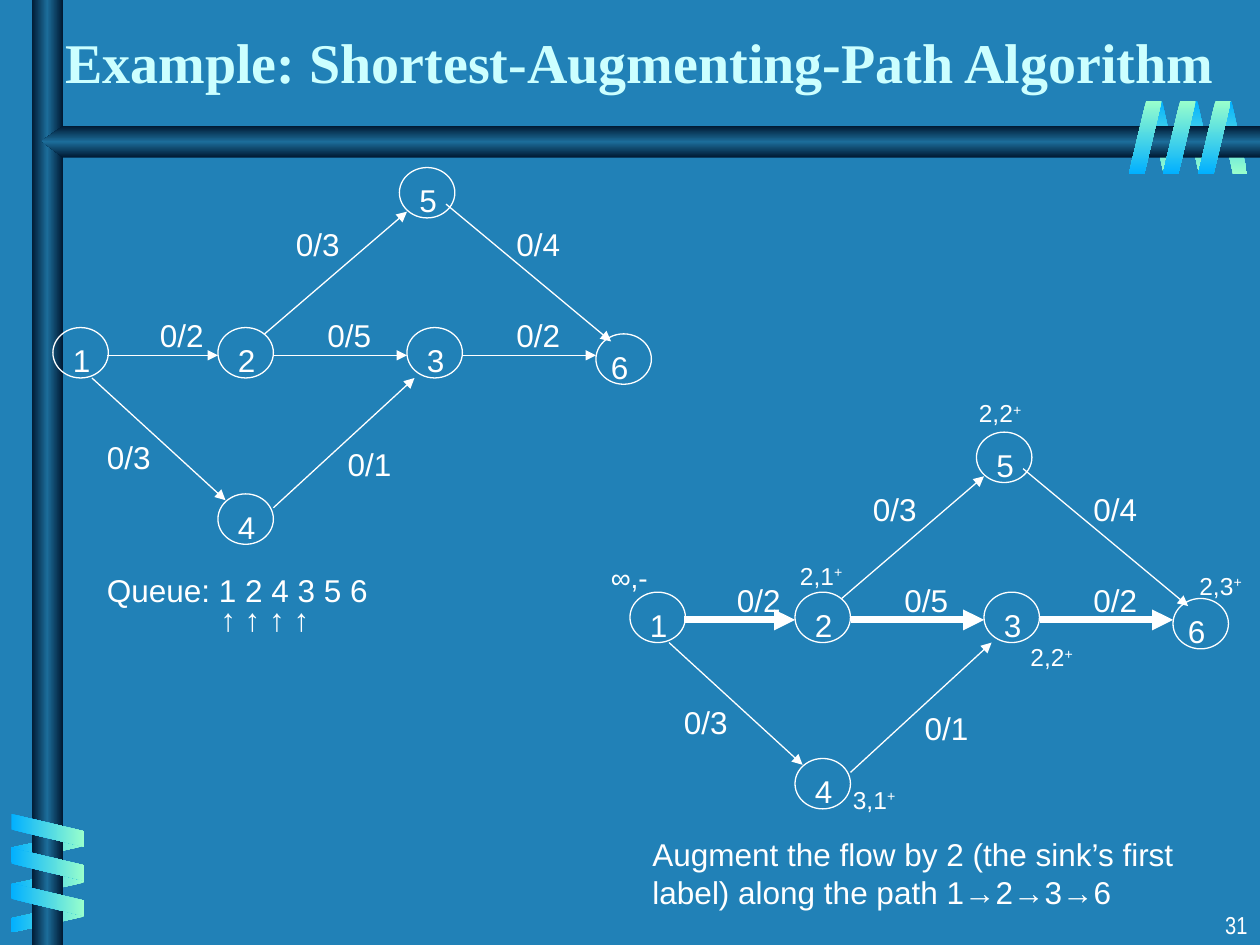
from copy import deepcopy
from dataclasses import dataclass

from lxml import etree
from pptx import Presentation
from pptx import util as u
from pptx.dml.color import RGBColor
from pptx.enum import shapes, text
from pptx.oxml.ns import qn


@dataclass(frozen=True)
class Theme:
    back: str = "2181B7"
    ink: str = "FFFFFF"
    head: str = "CCFFFF"
    dark: str = "001932"
    mid: str = "1C6D9A"
    blue: str = "01B0FF"
    mint: str = "99FFCC"
    sans: str = "Arial"
    serif: str = "Times New Roman"
    thin: str = "Arial Narrow"
    title: int = 32
    body: int = 18
    start: int = 16
    small: int = 14
    line: float = 0.75
    bold: float = 4


T = Theme()
KIND = shapes.MSO_SHAPE
SIZE = (0.44, 0.4)

# Node: name, left, top, shift of its number
NODES = [
    ("1", 0.42, 2.6, 0.06), ("4", 1.73, 3.92, 0.06), ("3", 3.23, 2.6, 0.06),
    ("2", 1.73, 2.6, 0.06), ("5", 3.17, 1.33, 0.06), ("6", 4.73, 2.65, 0.02),
]
# Edge: ends, start, stop, label, place of the label
EDGES = [
    ("14", (0.73, 3), (1.79, 3.97), "0/3", (0.75, 3.43)),
    ("12", (0.85, 2.82), (1.73, 2.82), "0/2", (1.17, 2.46)),
    ("25", (2.1, 2.65), (3.23, 1.68), "0/3", (2.25, 1.74)),
    ("23", (2.17, 2.82), (3.23, 2.82), "0/5", (2.5, 2.46)),
    ("43", (2.17, 4.03), (3.29, 3), "0/1", (2.66, 3.48)),
    ("36", (3.67, 2.82), (4.73, 2.82), "0/2", (4, 2.46)),
    ("56", (3.54, 1.62), (4.85, 2.71), "0/4", (4, 1.74)),
]
# Node labels of the second graph
MARKS = [("2,1", 6.25, 4.4), ("2,2", 7.67, 3.11), ("2,3", 9.42, 4.48),
         ("2,2", 8.08, 5.05), ("3,1", 6.67, 6.18)]


def rgb(code):
    return RGBColor.from_string(code)


def style(run, size, face=T.sans, tint=T.ink, bold=False):
    font = run.font
    font.size, font.name, font.bold = u.Pt(size), face, bold
    font.color.rgb = rgb(tint)


def write(slide, words, x, y, wide, high, size=T.body, wrap=True, **look):
    box = slide.shapes.add_textbox(*map(u.Inches, (x, y, wide, high)))
    frame = box.text_frame
    frame.text = words
    frame.word_wrap = wrap
    for para in frame.paragraphs:
        for run in para.runs:
            style(run, size, **look)
    return frame


def blend(shape, tints, angle):
    """Even colour stops, kept upright when the shape is turned."""
    fill = shape.fill
    fill.gradient()
    fill.gradient_angle = angle
    stops = shape._element.spPr.find(qn("a:gradFill"))
    stops.set("rotWithShape", "0")
    row = stops.find(qn("a:gsLst"))
    if len(tints) == 3:
        row.insert(1, deepcopy(row[0]))
    for i, (stop, tint) in enumerate(zip(fill.gradient_stops, tints)):
        stop.position = i / (len(tints) - 1)
        stop.color.rgb = rgb(tint)
    shape.line.fill.background()
    shape.shadow.inherit = False


def strip(slide, x, y, wide, turn, flip, tints, angle):
    shape = slide.shapes.add_shape(
        KIND.PARALLELOGRAM, *map(u.Inches, (x, y, wide, 0.58)))
    shape.adjustments[0] = 0.53
    shape.rotation = turn
    if flip:
        shape._element.spPr.xfrm.set("flipH", "1")
    blend(shape, tints, angle)


def frame_art(slide):
    cool, warm = (T.blue, T.mint), (T.mint, T.blue)
    steel = (T.dark, T.mid, T.dark)
    # Rear halves of the coils
    for x in (9.66, 9.39, 9.11):
        strip(slide, x, 0.8, 0.24, 180, True, cool, 270)
    for y in (6.43, 6.72, 6.99):
        strip(slide, 0.26, y, 0.24, 90, True, warm, 0)
    # Post and beam
    post = slide.shapes.add_shape(
        KIND.RECTANGLE, *map(u.Inches, (0.25, 0, 0.25, 7.5)))
    blend(post, steel, 0)
    path = slide.shapes.build_freeform(u.Inches(10), u.Inches(1))
    path.add_line_segments([(u.Inches(x), u.Inches(y)) for x, y in (
        (0.5, 1), (0.33, 1.12), (0.5, 1.25), (10, 1.25))])
    blend(path.convert_to_shape(), steel, 270)
    # Front halves of the coils
    for y in (6.3, 6.57, 6.85):
        strip(slide, 0.25, y, 0.26, 270, False, cool, 0)
    for x in (9.51, 9.23, 8.96):
        strip(slide, x, 0.8, 0.26, 0, False, warm, 270)


def node(slide, name, x, y, shift):
    ring = slide.shapes.add_shape(KIND.OVAL, *map(u.Inches, (x, y, *SIZE)))
    ring.fill.background()
    ring.line.color.rgb = rgb(T.ink)
    ring.line.width = u.Pt(T.line)
    ring.shadow.inherit = False
    write(slide, name, x + shift, y + 0.06, 0.34, 0.4, wrap=False)


def arrow(slide, start, stop, width):
    link = slide.shapes.add_connector(
        shapes.MSO_CONNECTOR.STRAIGHT, *map(u.Inches, (*start, *stop)))
    link.line.color.rgb = rgb(T.ink)
    link.line.width = u.Pt(width)
    tip = etree.SubElement(link.line._get_or_add_ln(), qn("a:tailEnd"))
    tip.set("type", "triangle")
    etree.SubElement(link._element.spPr, qn("a:effectLst"))


def graph(slide, dx=0, dy=0, route=()):
    def move(spot):
        return spot[0] + dx, spot[1] + dy

    for name, x, y, shift in NODES:
        node(slide, name, *move((x, y)), shift)
    for ends, start, stop, label, spot in EDGES:
        width = T.bold if ends in route else T.line
        arrow(slide, move(start), move(stop), width)
        write(slide, label, *move(spot), 0.55, 0.4, wrap=False)


def mark(slide, words, x, y):
    frame = write(slide, words, x, y, 0.58, 0.34, T.small)
    plus = frame.paragraphs[0].add_run()
    plus.text = "+"
    style(plus, T.small)
    plus._r.get_or_add_rPr().set("baseline", "30000")


def queue(slide):
    frame = write(slide, "Queue: 1 2 4 3 5 6\n↑ ↑ ↑ ↑", 0.75, 4.67, 2.42, 0.41)
    for para in frame.paragraphs:
        para.line_spacing = 0.25
    para.space_before = u.Pt(11.2)
    para._p.get_or_add_pPr().set("marL", str(u.Inches(0.9)))


def main():
    deck = Presentation()
    deck.slide_width, deck.slide_height = u.Inches(10), u.Inches(7.5)
    slide = deck.slides.add_slide(deck.slide_layouts[6])
    slide.background.fill.solid()
    slide.background.fill.fore_color.rgb = rgb(T.back)
    frame_art(slide)

    # Page number and title
    page = write(slide, "31", 7.92, 7.17, 2.08, 0.33, T.small, face=T.thin)
    page.paragraphs[0].alignment = text.PP_ALIGN.RIGHT
    title = write(slide, "Example: Shortest-Augmenting-Path Algorithm",
                  0.42, 0.17, 9.33, 0.63, T.title,
                  face=T.serif, tint=T.head, bold=True)
    title.vertical_anchor = text.MSO_ANCHOR.BOTTOM

    # Notes beside the graphs
    queue(slide)
    write(slide, "Augment the flow by 2 (the sink’s first label) "
          "along the path 1→2→3→6", 5.08, 6.58, 4.58, 0.7)

    # Network before and after labelling
    graph(slide)
    graph(slide, 4.58, 2.1, route=("12", "23", "36"))
    write(slide, "∞,-", 4.75, 4.4, 0.5, 0.37, T.start)
    for item in MARKS:
        mark(slide, *item)

    deck.save("out.pptx")


if __name__ == "__main__":
    main()
